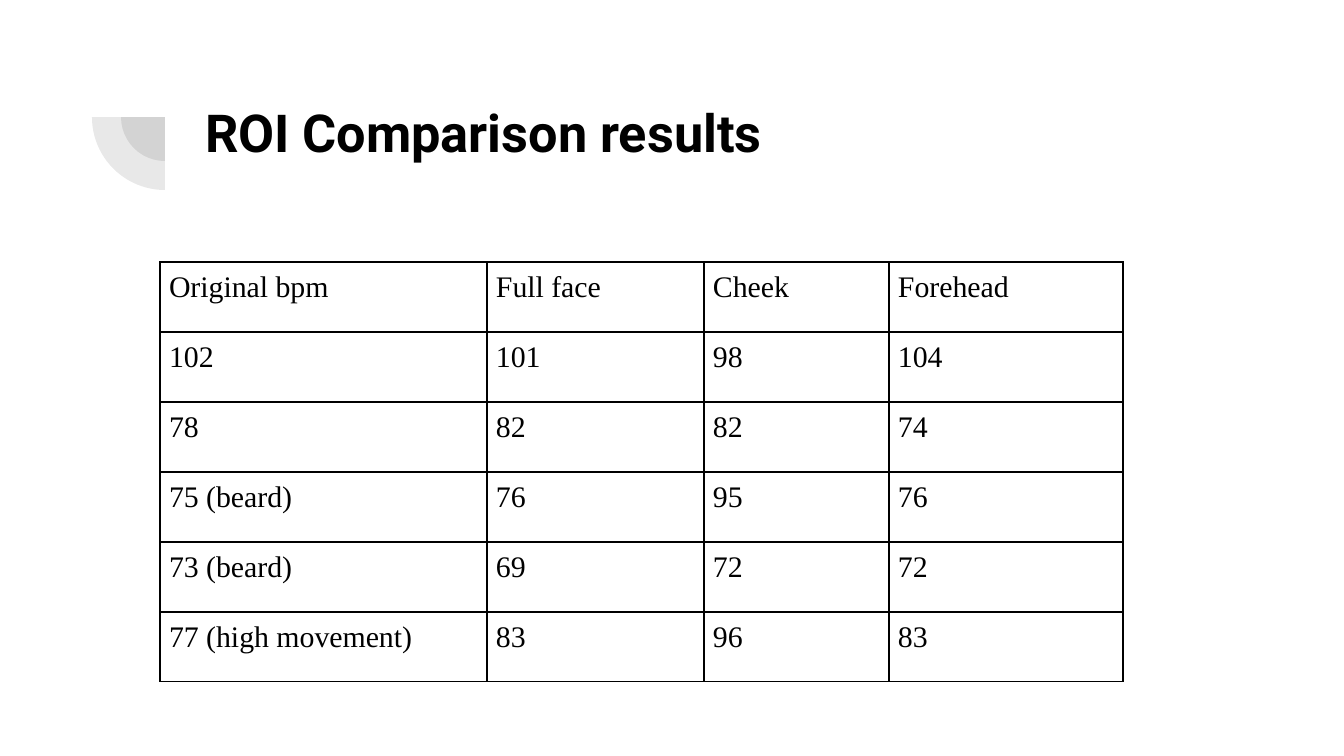
"""Build the slide with the ROI comparison table."""
from lxml import etree
from pptx import Presentation
from pptx.dml.color import RGBColor
from pptx.enum.shapes import MSO_SHAPE
from pptx.enum.text import MSO_ANCHOR, PP_ALIGN
from pptx.oxml.ns import qn
from pptx.util import Pt

PIE = MSO_SHAPE.PIE
TOP = MSO_ANCHOR.TOP
LEFT = PP_ALIGN.LEFT
TITLE_ONLY = 5
EMU_PER_PIXEL = 914400 / 134.4
COLORS = {"text": "000000", "border": "000000", "ornament": "424242"}
COLUMN_WIDTHS = [327, 217, 185, 234]
ROW_HEIGHT = 70
ROWS = [
    ["Original bpm", "Full face", "Cheek", "Forehead"],
    ["102", "101", "98", "104"],
    ["78", "82", "82", "74"],
    ["75 (beard)", "76", "95", "76"],
    ["73 (beard)", "69", "72", "72"],
    ["77 (high movement)", "83", "96", "83"],
]


def px(pixels):
    return round(pixels * EMU_PER_PIXEL)


def color(name):
    return RGBColor.from_string(COLORS[name])


def set_insets(target, pixels):
    target.margin_left = target.margin_right = px(pixels)
    target.margin_top = target.margin_bottom = px(pixels)


def style(para, name, size, bold=False):
    para.alignment = LEFT
    para.font.name = name
    para.font.size = Pt(size)
    para.font.bold = bold
    para.font.color.rgb = color("text")


def add_quarter(page, center_x, center_y, radius):
    quarter = page.shapes.add_shape(
        PIE, px(center_x - radius), px(center_y - radius), px(2 * radius), px(2 * radius))
    quarter.rotation = 270
    quarter.adjustments[0] = 108
    quarter.adjustments[1] = 162
    quarter.shadow.inherit = False
    quarter.line.fill.background()
    quarter.fill.solid()
    quarter.fill.fore_color.rgb = color("ornament")
    tint = quarter.fill._xPr.find(".//" + qn("a:srgbClr"))
    etree.SubElement(tint, qn("a:alpha"), val="12000")


def set_title(page, text):
    title = page.shapes.title
    title.left, title.top, title.width, title.height = px(192), px(87), px(1034), px(146)
    frame = title.text_frame
    frame.text = text
    frame.vertical_anchor = TOP
    set_insets(frame, 13)
    style(frame.paragraphs[0], "Roboto", 28, bold=True)


def add_borders(cell):
    properties = cell._tc.get_or_add_tcPr()
    for index, side in enumerate(("lnL", "lnR", "lnT", "lnB")):
        line = etree.Element(qn("a:" + side), w=str(Pt(1)))
        fill = etree.SubElement(line, qn("a:solidFill"))
        etree.SubElement(fill, qn("a:srgbClr"), val=COLORS["border"])
        properties.insert(index, line)


def fill_cell(cell, text):
    cell.text = text
    cell.vertical_anchor = TOP
    set_insets(cell, 9)
    style(cell.text_frame.paragraphs[0], "Times New Roman", 16)
    cell.fill.background()
    add_borders(cell)


def add_results(page, left, top):
    table = page.shapes.add_table(
        len(ROWS), len(COLUMN_WIDTHS), px(left), px(top),
        px(sum(COLUMN_WIDTHS)), px(ROW_HEIGHT * len(ROWS))).table
    table.first_row = table.horz_banding = False
    for column, width in zip(table.columns, COLUMN_WIDTHS):
        column.width = px(width)
    for row, texts in zip(table.rows, ROWS):
        row.height = px(ROW_HEIGHT)
        for cell, text in zip(row.cells, texts):
            fill_cell(cell, text)


def main():
    deck = Presentation()
    deck.slide_width, deck.slide_height = px(1344), px(756)
    page = deck.slides.add_slide(deck.slide_layouts[TITLE_ONLY])
    for radius in (44, 73):
        add_quarter(page, 165, 117, radius)
    set_title(page, "ROI Comparison results")
    add_results(page, 160, 262)
    deck.save("out.pptx")


main()
